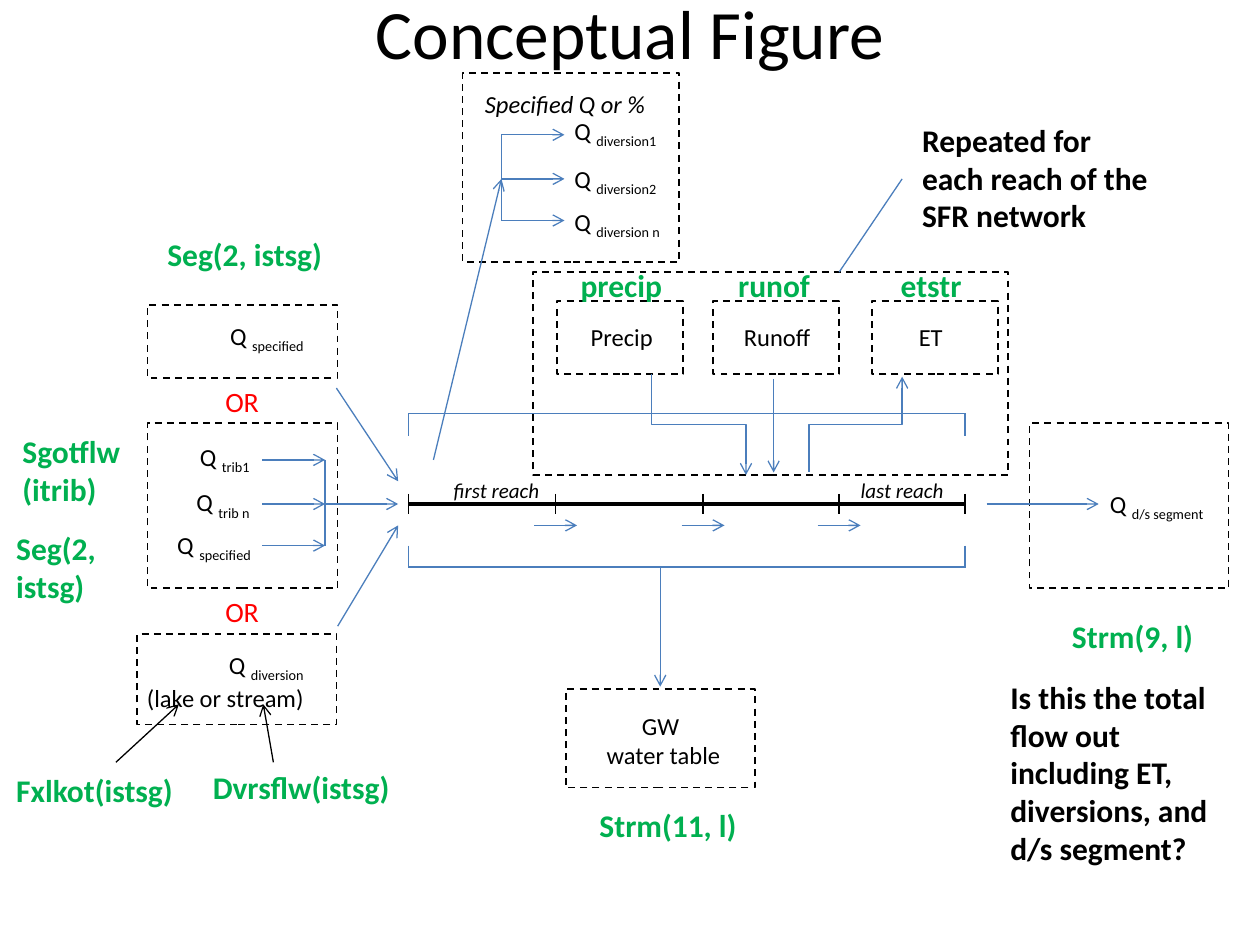
"""Build the conceptual figure of flows along a stream segment."""
from typing import NamedTuple

import pptx
import pptx.dml.color
import pptx.enum.dml
import pptx.enum.shapes
import pptx.enum.text
import pptx.oxml.ns
import pptx.util
from lxml import etree
from pptx.util import Inches

Align = pptx.enum.text.PP_ALIGN
Link = pptx.enum.shapes.MSO_CONNECTOR
BLACK, BLUE, GREEN, RED = "000000", "4B7EBC", "00B050", "FF0000"
FACE = "Calibri"


class Note(NamedTuple):
    """Text with lines split by newline and subscripts led by a bar."""
    words: str
    x: float
    y: float
    w: float
    h: float = 0.34
    align: Align = Align.LEFT
    size: float = 14
    color: str = BLACK
    bold: bool = False
    slant: bool = False
    wrap: bool = False


class Line(NamedTuple):
    """Straight line between two points."""
    x1: float
    y1: float
    x2: float
    y2: float
    tip: bool = True
    color: str = BLUE
    width: float = 0.75


class Box(NamedTuple):
    """Dashed frame."""
    x: float
    y: float
    w: float
    h: float


def paint(form, color: str) -> None:
    """Set a font or line colour from a hex string."""
    form.color.rgb = pptx.dml.color.RGBColor.from_string(color)


def style(font, size: float, color: str, bold: bool = False, slant: bool = False) -> None:
    """Format a font."""
    font.name, font.size = FACE, pptx.util.Pt(size)
    font.bold, font.italic = bold, slant
    paint(font, color)


def add_note(slide, note: Note) -> None:
    """Write a text box."""
    frame = slide.shapes.add_textbox(*map(Inches, note[1:5])).text_frame
    frame.word_wrap = note.wrap
    frame.auto_size = pptx.enum.text.MSO_AUTO_SIZE.SHAPE_TO_FIT_TEXT
    for i, text in enumerate(note.words.split("\n")):
        para = frame.add_paragraph() if i else frame.paragraphs[0]
        para.alignment = note.align
        style(para.font, note.size, note.color, note.bold, note.slant)
        main, _, sub = text.partition("|")
        para.add_run().text = main
        if sub:
            run = para.add_run()
            run.text = sub
            run.font._element.set("baseline", "-25000")


def add_tip(link, end: str) -> None:
    """Put an open arrowhead on the head or tail of a line."""
    tag = pptx.oxml.ns.qn(f"a:{end}End")
    etree.SubElement(link.line._get_or_add_ln(), tag).set("type", "arrow")


def add_link(slide, kind: Link, line: Line):
    """Draw a connector without shadow."""
    link = slide.shapes.add_connector(kind, *map(Inches, line[:4]))
    paint(link.line, line.color)
    link.line.width = pptx.util.Pt(line.width)
    if line.tip:
        add_tip(link, "tail")
    etree.SubElement(link._element.spPr, pptx.oxml.ns.qn("a:effectLst"))
    return link


def add_bend(slide, line: Line):
    """Draw an elbow that leaves and arrives vertically."""
    midx, midy = (line.x1 + line.x2) / 2, (line.y1 + line.y2) / 2
    side = 1 if line.x2 < line.x1 else -1
    dx, dy = side * (line.y2 - line.y1) / 2, abs(line.x2 - line.x1) / 2
    turned = line._replace(x1=midx - dx, y1=midy - dy, x2=midx + dx, y2=midy + dy)
    link = add_link(slide, Link.ELBOW, turned)
    link._element.spPr.xfrm.set("rot", str((180 - side * 90) * 60000))
    return link


def add_box(slide, box: Box) -> None:
    """Draw a dashed frame."""
    kind = pptx.enum.shapes.MSO_SHAPE.RECTANGLE
    shape = slide.shapes.add_shape(kind, *map(Inches, box))
    shape.shadow.inherit = False
    shape.fill.background()
    paint(shape.line, BLACK)
    shape.line.width = pptx.util.Pt(1)
    shape.line.dash_style = pptx.enum.dml.MSO_LINE.DASH


def code(words: str, x: float, y: float, w: float, h: float = 0.4, wrap: bool = False) -> Note:
    """Make a green variable name."""
    return Note(words, x, y, w, h, size=18, color=GREEN, bold=True, wrap=wrap)


def fork(x: float, rows: list[float]) -> list[Line]:
    """Make three arrows of half an inch."""
    return [Line(x, y, x + 0.5, y) for y in rows]


LEFT, RIGHT, MID = 3.24, 7.66, 4
BOXES = [
    Box(1.17, 2.42, 1.51, 0.58), Box(1.17, 3.36, 1.51, 1.31), Box(1.09, 5.03, 1.58, 0.72),
    Box(8.17, 3.36, 1.58, 1.31), Box(3.67, 0.58, 1.72, 1.5), Box(4.49, 5.47, 1.5, 0.78),
    Box(4.23, 2.16, 3.77, 1.61), *(Box(x, 2.39, 1, 0.58) for x in (4.42, 5.66, 6.92)),
]
LINES = [
    Line(LEFT, MID, RIGHT, MID, False, BLACK, 2),
    *(Line(x, 3.92, x, 4.08, False, BLACK) for x in (LEFT, 4.41, 5.58, 6.66, RIGHT)),
    *(Line(x, 4.17, x + 0.34, 4.17) for x in (4.24, 5.41, 6.49)),
    *fork(2.08, [3.65, MID, 4.33]), Line(2.58, 3.65, 2.58, 4.33, False),
    *fork(3.98, [1.07, 1.42, 1.75]), Line(3.98, 1.07, 3.98, 1.75, False),
    *(Line(LEFT, y, RIGHT, y, False) for y in (3.28, 4.5)),
    *(Line(x, y, x, y + 0.18, False) for y in (3.28, 4.33) for x in (LEFT, RIGHT)),
    Line(2.58, MID, 3.16, MID), Line(2.67, 3.08, 3.16, 3.82), Line(2.68, 4.97, 3.16, 4.17),
    Line(7.83, MID, 8.72, MID), Line(3.44, 3.65, 3.98, 1.42),
    Line(6.14, 3.01, 6.14, 3.75), Line(5.24, 4.5, 5.24, 5.45),
    Line(0.92, 6.05, 1.42, 5.59, color=BLACK), Line(2.17, 6.05, 2.09, 5.59, color=BLACK),
    Line(6.66, 2.16, 7.16, 1.42, False),
]
NOTES = [
    *(Note(words, x, 3.74, 1, 0.3, Align.CENTER, 12, slant=True, wrap=True)
      for words, x in (("first reach", 3.44), ("last reach", 6.66))),
    *(Note(words, x, y, w, align=Align.RIGHT) for words, x, y, w in (
        ("Q |trib1", 1.45, 3.46, 0.63), ("Q |trib n", 1.42, 3.82, 0.66),
        ("Q |specified", 1.24, 4.16, 0.85), ("Q |specified", 1.66, 2.5, 0.85),
        ("Precip", 4.58, 2.51, 0.7), ("Runoff", 5.79, 2.51, 0.74), ("ET", 7.19, 2.51, 0.39))),
    Note("Q |diversion\n(lake or stream)", 1.05, 5.11, 1.46, 0.57, Align.RIGHT),
    *(Note("OR", 1.69, y, 0.47, 0.37, size=16, color=RED) for y in (3, 4.67)),
    Note("Q |d/s segment", 8.71, 3.83, 1.03),
    Note("Q |diversion1", 4.46, 0.87, 0.93), Note("Q |diversion2", 4.46, 1.25, 0.93),
    Note("Q |diversion n", 4.46, 1.59, 0.96),
    Note("Specified Q or %", 3.75, 0.66, 1.5, slant=True),
    Note("GW \nwater table", 4.71, 5.59, 1.11, 0.57, Align.CENTER),
    code("Strm(11, l)", 4.66, 6.35, 1.3), code("Strm(9, l)", 8.41, 4.85, 1.17),
    code("precip", 4.51, 2.06, 0.88), code("runof", 5.76, 2.06, 0.78),
    code("etstr", 7.05, 2.06, 0.69), code("Seg(2, istsg)", 1.23, 1.82, 1.44),
    code("Fxlkot(istsg)", 0.03, 6.07, 1.45), code("Dvrsflw(istsg)", 1.59, 6.05, 1.62),
    code("Sgotflw(itrib)", 0.08, 3.38, 1.01, 0.71, True),
    code("Seg(2, istsg)", 0.03, 4.15, 0.89, 0.71, True),
    Note("Is this the total flow out including ET, diversions, and d/s segment?",
         7.92, 5.33, 2.01, 1.62, size=18, bold=True, wrap=True),
    Note("Repeated for each reach of the SFR network",
         7.22, 0.91, 2.01, 1.01, size=18, bold=True, wrap=True),
]


def main() -> None:
    """Draw the slide and save it."""
    deck = pptx.Presentation()
    deck.slide_width, deck.slide_height = Inches(10), Inches(7.5)
    slide = deck.slides.add_slide(deck.slide_layouts[5])
    title = slide.shapes.title
    title.left, title.top, title.width, title.height = map(Inches, (0.5, 0, 9, 0.5))
    frame = title.text_frame
    frame.text = "Conceptual Figure"
    frame.auto_size = pptx.enum.text.MSO_AUTO_SIZE.NONE
    frame.vertical_anchor = pptx.enum.text.MSO_ANCHOR.MIDDLE
    frame.paragraphs[0].alignment = Align.CENTER
    style(frame.paragraphs[0].font, 39.6, BLACK)
    for box in BOXES:
        add_box(slide, box)
    for line in LINES:
        add_link(slide, Link.STRAIGHT, line)
    add_bend(slide, Line(5.17, 2.97, 5.92, 3.77))
    add_tip(add_bend(slide, Line(7.16, 2.99, 6.42, 3.75, False)), "head")
    for note in NOTES:
        add_note(slide, note)
    deck.save("out.pptx")


if __name__ == "__main__":
    main()
